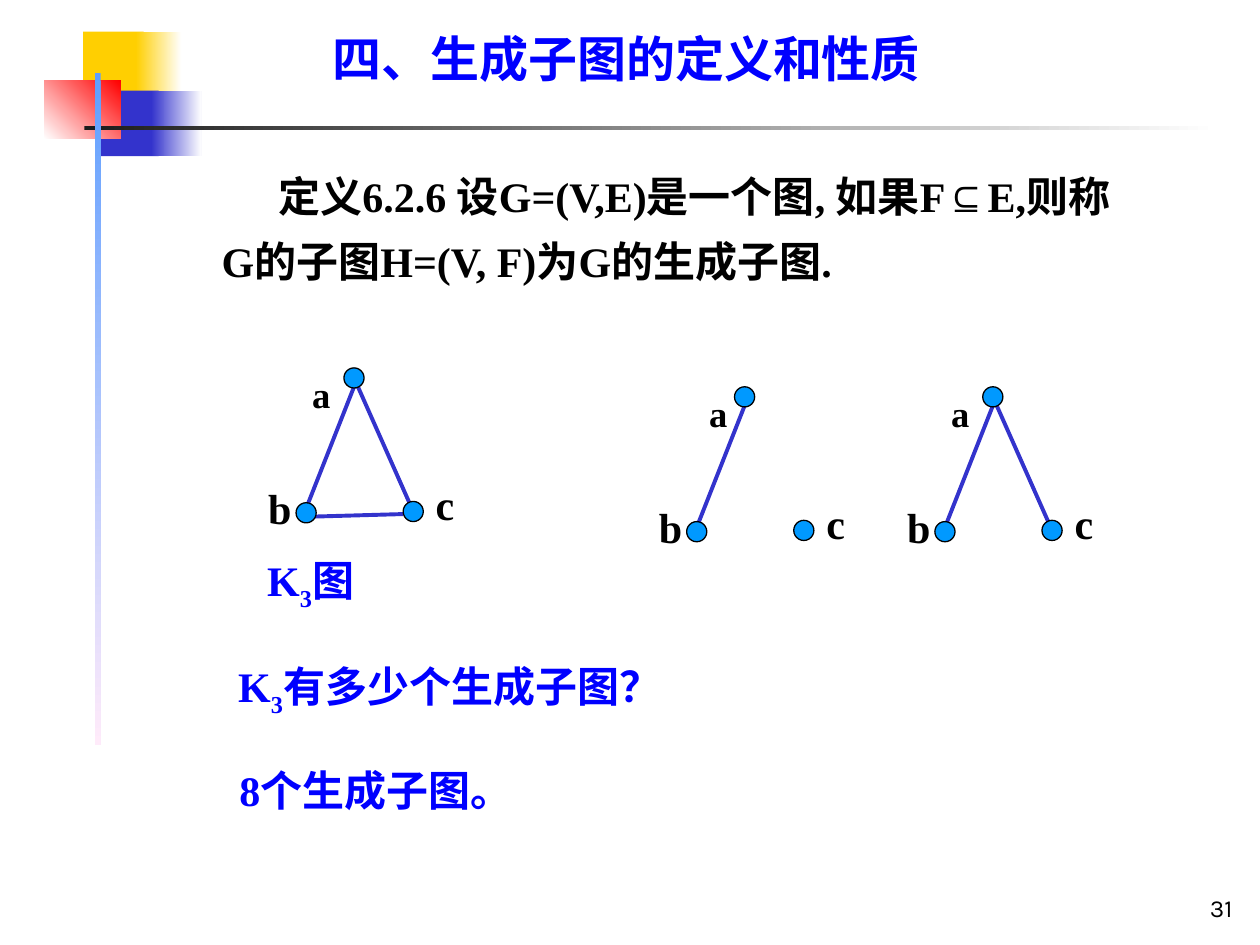
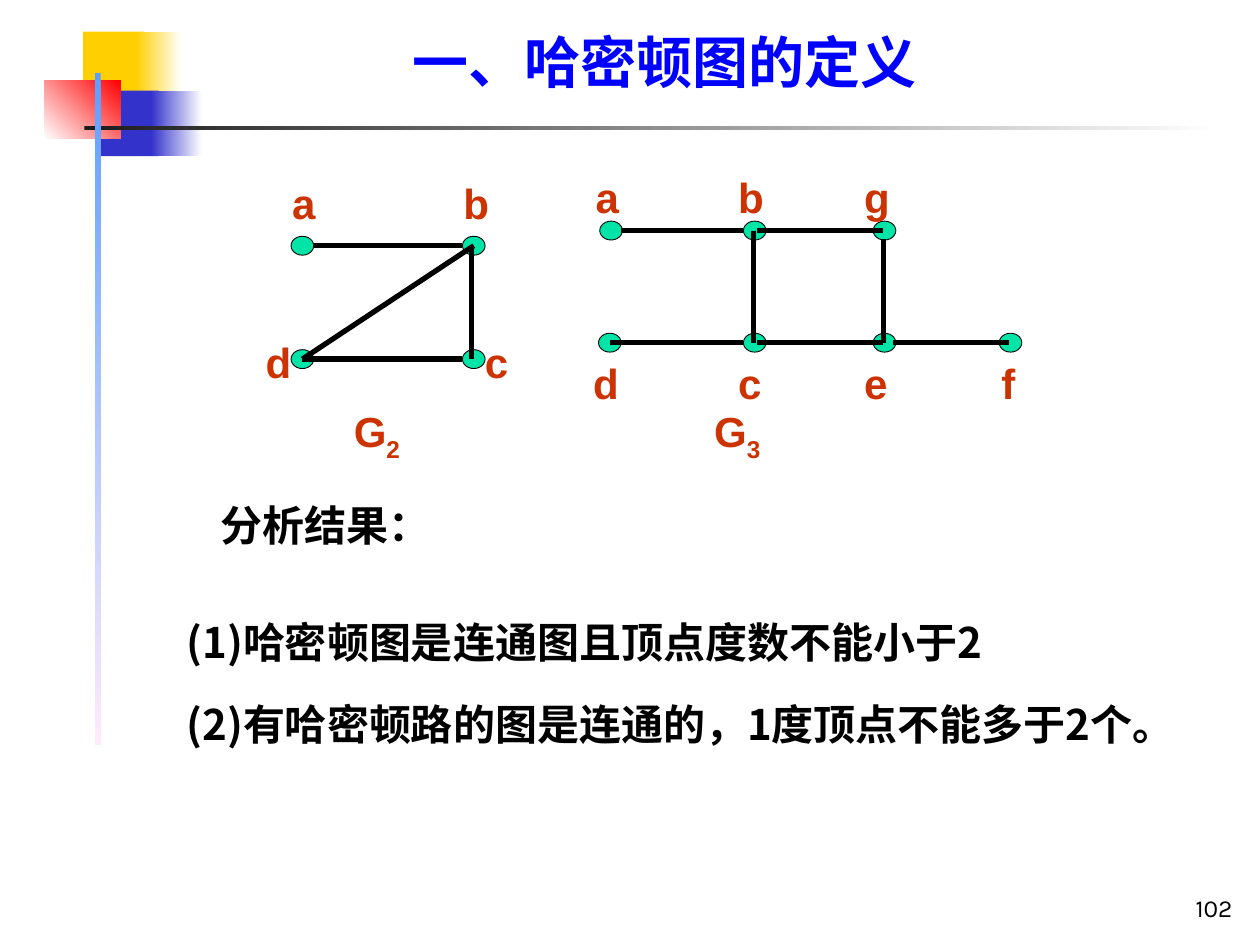
import lxml.etree
import pptx
import pptx.dml.color
import pptx.enum.shapes
import pptx.enum.text
import pptx.oxml.ns
import pptx.util

Inches = pptx.util.Inches
rgb = pptx.dml.color.RGBColor.from_string
qn = pptx.oxml.ns.qn
RECTANGLE = pptx.enum.shapes.MSO_SHAPE.RECTANGLE
OVAL = pptx.enum.shapes.MSO_SHAPE.OVAL
ALIGN = pptx.enum.text.PP_ALIGN
ANCHOR = pptx.enum.text.MSO_ANCHOR

BLACK, BLUE, EDGE_BLUE, NODE_BLUE = "000000", "0000FF", "3333CC", "0099FF"
NODE_GREEN, LABEL_RED = "00E4A8", "CC3300"
SERIF, SANS, CHINESE = "Times New Roman", "Arial", "Noto Sans CJK SC"
HANGING = (0.38, -0.38)


def write(shape, box, lines, size, font, color, bold=True, inset=0.0, spacing=1.0,
          gap=0, indent=(0, 0), align=ALIGN.LEFT, anchor=ANCHOR.TOP, baseline=-25):
    """Place and fill a text shape; text between underscores gets the baseline shift."""
    shape.left, shape.top, shape.width, shape.height = map(Inches, box)
    frame = shape.text_frame
    frame.word_wrap = True
    frame.auto_size = pptx.enum.text.MSO_AUTO_SIZE.NONE
    frame.vertical_anchor = anchor
    frame.margin_left = frame.margin_right = Inches(inset)
    frame.margin_top = frame.margin_bottom = Inches(inset / 2)
    for number, line in enumerate(lines):
        paragraph = frame.add_paragraph() if number else frame.paragraphs[0]
        paragraph.alignment = align
        paragraph.line_spacing = spacing
        paragraph.space_before = pptx.util.Pt(gap if number else 0)
        properties = paragraph._p.get_or_add_pPr()
        properties.set("marL", str(Inches(indent[0])))
        properties.set("indent", str(Inches(indent[1])))
        lxml.etree.SubElement(properties, qn("a:buNone"))
        for index, text in enumerate(line.split("_")):
            if not text:
                continue
            run = paragraph.add_run()
            run.text = text
            run.font.name, run.font.size = font, pptx.util.Pt(size)
            run.font.bold = bold
            run.font.color.rgb = rgb(color)
            run_properties = run._r.get_or_add_rPr()
            lxml.etree.SubElement(run_properties, qn("a:ea"), typeface=CHINESE)
            if index % 2 and baseline:
                run_properties.set("baseline", str(baseline * 1000))


def draw(slide, kind, box, color, width):
    """Draw an edge (kind None, box holds both ends) or a filled, outlined node."""
    if kind is None:
        shape = slide.shapes.add_connector(
            pptx.enum.shapes.MSO_CONNECTOR.STRAIGHT, *map(Inches, box))
        lxml.etree.SubElement(shape._element.spPr, qn("a:effectLst"))
        shape.line.color.rgb = rgb(color)
    else:
        shape = slide.shapes.add_shape(kind, *map(Inches, box))
        shape.shadow.inherit = False
        shape.fill.solid()
        shape.fill.fore_color.rgb = rgb(color)
        shape.line.color.rgb = rgb(BLACK)
    shape.line.width = pptx.util.Pt(width)
    return shape


presentation = pptx.Presentation()
presentation.slide_width, presentation.slide_height = Inches(10), Inches(7.5)
layout = presentation.slide_layouts[1]

# Titles and page numbers
slides = []
for title, title_box, title_size, page in [
    ("四、生成子图的定义和性质", (2.64, 0.28, 5.04, 0.42), 28, "31"),
    ("一、哈密顿图的定义", (3.27, 0.28, 4.37, 0.48), 32, "102"),
]:
    slide = presentation.slides.add_slide(layout)
    write(slide.shapes.title, title_box, [title], title_size, SERIF, BLUE,
          spacing=0.9, indent=HANGING)
    write(slide.shapes.add_textbox(0, 0, 0, 0), (7.8, 6.87, 2.08, 0.5), [page], 14,
          "Karla", BLACK, bold=False, inset=0.1, align=ALIGN.RIGHT, anchor=ANCHOR.BOTTOM)
    slides.append(slide)
spanning_slide, hamilton_slide = slides

# Shared decoration, kept on the layout: box, colours, gradient angle
decorations = [
    ((0.66, 0.25, 0.48, 0.52), ["FFCF01"], 0),
    ((1.08, 0.25, 0.36, 0.52), ["FFCF01", "FFFFFF"], 0),
    ((0.8, 0.72, 0.46, 0.52), ["3333CC"], 0),
    ((1.2, 0.72, 0.4, 0.52), ["3333CC", "FFFFFF"], 0),
    ((0.35, 0.64, 0.61, 0.46), ["FFFFFF", "FF0000"], 45),
    ((0.67, 1, 9, 0.03), ["1C1C1C", "FFFFFF"], 0),
    ((0.75, 0.58, 0.05, 5.33), ["5E9EFF", "FFEBFA"], 270),
]
for number, (box, colors, angle) in enumerate(decorations):
    block = draw(spanning_slide, RECTANGLE, box, colors[0], 0)
    block.line.fill.background()
    if len(colors) == 2:
        block.fill.gradient()
        block.fill.gradient_angle = angle
        for stop, color in zip(block.fill.gradient_stops, colors):
            stop.color.rgb = rgb(color)
    block._element.nvSpPr.cNvPr.set("id", str(100 + number))
    layout.shapes.element.append(block._element)

# Slide 1: definition
definition = spanning_slide.placeholders[1]
write(definition, (1.38, 1.23, 7.48, 1.04),
      ["定义6.2.6 设G=(V,E)是一个图, 如果F_⊆_E,则称G的子图H=(V, F)为G的生成子图."],
      24, SERIF, BLACK, spacing=1.3, indent=(0.38, 0.45), baseline=0)
definition.text_frame.paragraphs[0].runs[1].font.name = SANS

# Slide 1: K3 and two of its spanning subgraphs, drawn by offset from K3
triangle_edges = {
    "ab": (2.81, 3.07, 2.42, 4.06),
    "ac": (2.81, 3.0, 3.28, 4.06),
    "bc": (2.5, 4.1, 3.2, 4.08),
}
triangle_nodes = [(2.35, 3.99), (3.2, 3.98), (2.73, 2.92)]
for right, down, edge_names, a_left in [
    (0, 0, ["ab", "ac", "bc"], 2.38),
    (3.1, 0.15, ["ab"], 5.53),
    (5.07, 0.15, ["ab", "ac"], 7.45),
]:
    for name in edge_names:
        x1, y1, x2, y2 = triangle_edges[name]
        draw(spanning_slide, None, (x1 + right, y1 + down, x2 + right, y2 + down),
             EDGE_BLUE, 2.25)
    for x, y in triangle_nodes:
        draw(spanning_slide, OVAL, (x + right, y + down, 0.16, 0.16), NODE_BLUE, 0.75)
    for text, size, box in [
        ("b", 24, (2.03 + right, 3.78 + down, 0.38, 0.5)),
        ("c", 24, (3.36 + right, 3.75 + down, 0.35, 0.5)),
        ("_a", 36, (a_left, 2.57 + down, 0.4, 0.79)),
    ]:
        write(spanning_slide.shapes.add_textbox(0, 0, 0, 0), box, [text], size,
              SERIF, BLACK, inset=0.1)

# Slide 1: caption, question and answer
for text, box in [
    ("K_3_图", (2.12, 4.41, 1.52, 0.41)),
    ("K_3_有多少个生成子图？", (1.89, 5.25, 4.19, 0.41)),
    ("8个生成子图。", (1.9, 6.11, 3, 0.36)),
]:
    write(spanning_slide.shapes.add_textbox(0, 0, 0, 0), box, [text], 24, SERIF, BLUE,
          spacing=0.9, indent=HANGING)

# Slide 2: graphs G2 and G3 as node centres, edges and label corners
graphs = [
    ([(2.4, 1.95), (2.4, 2.85), (3.76, 2.85), (3.76, 1.95)],
     [(2.49, 1.95, 3.67, 1.95), (2.4, 2.85, 3.67, 2.85),
      (3.76, 1.95, 2.4, 2.85), (3.74, 1.95, 3.74, 2.85)],
     [("a", 2.22, 1.36), ("b", 3.58, 1.36), ("c", 3.75, 2.62), ("d", 2.01, 2.62),
      ("G_2", 2.71, 3.17)]),
    ([(4.85, 1.83), (4.84, 2.72), (5.99, 2.72), (5.99, 1.83),
      (8.02, 2.72), (7.02, 2.72), (7.02, 1.83)],
     [(4.93, 1.83, 5.9, 1.83), (4.84, 2.72, 5.9, 2.72), (5.98, 1.83, 5.98, 2.72),
      (6.01, 1.83, 7.01, 1.83), (7.01, 1.9, 7.01, 2.72), (6.01, 2.72, 7.01, 2.72),
      (7.09, 2.72, 8.01, 2.72)],
     [("a", 4.63, 1.31), ("b", 5.76, 1.31), ("g", 6.76, 1.31), ("d", 4.61, 2.79),
      ("c", 5.76, 2.79), ("e", 6.76, 2.79), ("f", 7.85, 2.79), ("G_3", 5.57, 3.17)]),
]
for nodes, edges, labels in graphs:
    for x, y in nodes:
        draw(hamilton_slide, OVAL, (x - 0.09, y - 0.075, 0.18, 0.15), NODE_GREEN, 0.5)
    for edge in edges:
        draw(hamilton_slide, None, edge, BLACK, 3)
    for text, left, top in labels:
        box = (left, top, 0.4, 0.5) if len(text) == 1 else (left, top, 0.6, 0.56)
        write(hamilton_slide.shapes.add_textbox(0, 0, 0, 0), box, [text], 24,
              SANS, LABEL_RED, inset=0.1)

# Slide 2: results of the analysis
write(hamilton_slide.shapes.add_textbox(0, 0, 0, 0), (1.65, 3.99, 2.54, 0.49),
      ["分析结果："], 24, CHINESE, BLACK, inset=0.1, spacing=0.8, indent=HANGING)
write(hamilton_slide.placeholders[1], (1.38, 4.92, 8.19, 1.43),
      ["(1)哈密顿图是连通图且顶点度数不能小于2",
       "(2)有哈密顿路的图是连通的，1度顶点不能多于2个。"],
      24, CHINESE, BLACK, inset=0.1, spacing=0.8, gap=24, indent=HANGING)

presentation.save("out.pptx")
